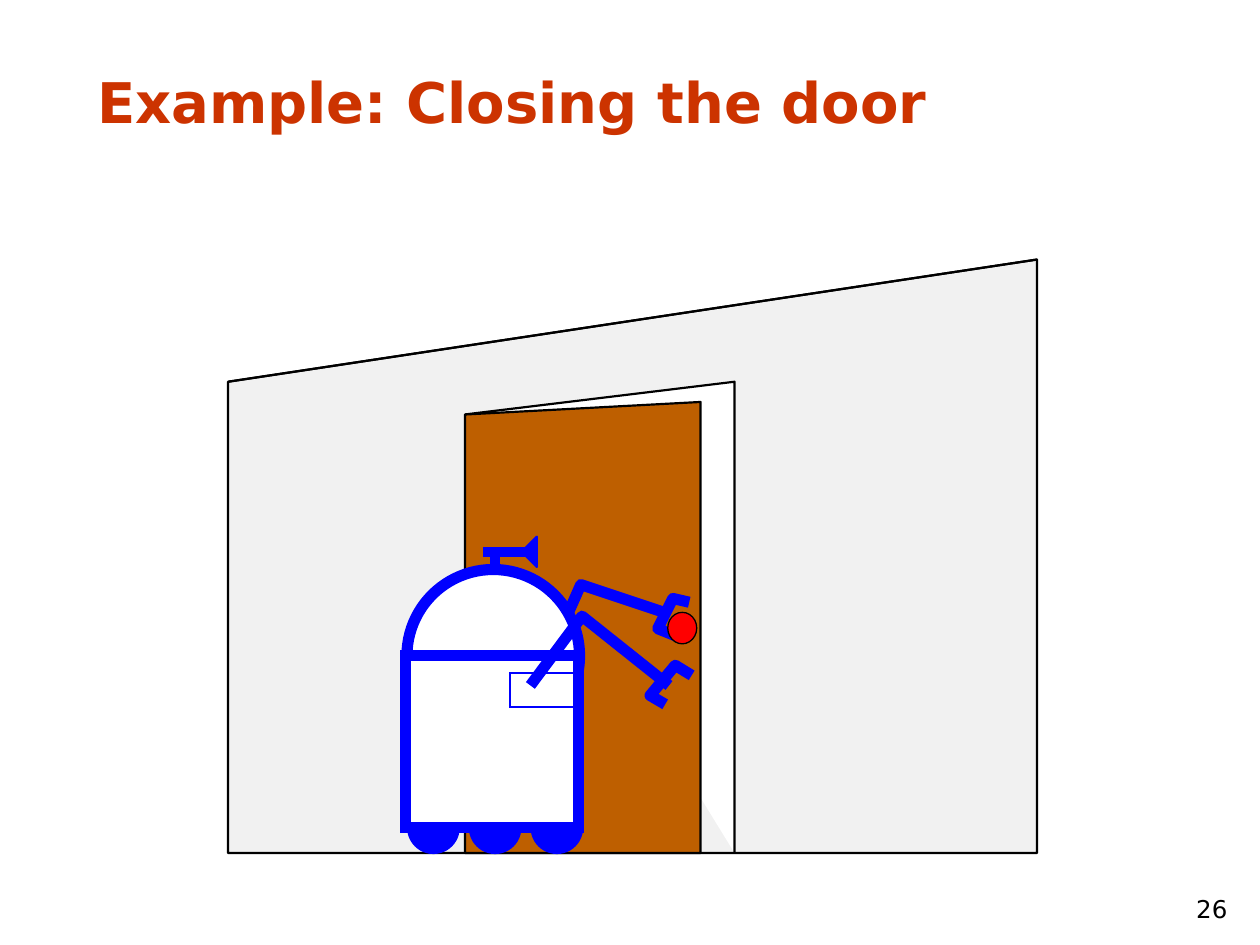
from lxml.etree import SubElement
from pptx import Presentation
from pptx.dml.color import RGBColor
from pptx.enum.shapes import MSO_CONNECTOR, MSO_SHAPE
from pptx.enum.text import MSO_ANCHOR, MSO_AUTO_SIZE, PP_ALIGN
from pptx.oxml.ns import qn
from pptx.util import Inches, Pt

TITLE_RED = RGBColor(0xCC, 0x33, 0x00)
WALL_GREY = RGBColor(0xF1, 0xF1, 0xF1)
DOOR_BROWN = RGBColor(0xBE, 0x5F, 0x00)
ROBOT_BLUE = RGBColor(0x00, 0x00, 0xFF)
KNOB_RED = RGBColor(0xFF, 0x00, 0x00)
WHITE = RGBColor(0xFF, 0xFF, 0xFF)
BLACK = RGBColor(0x00, 0x00, 0x00)

THIN = 1.25
THICK = 6.38


class SlideBuilder:
    font = "DejaVu Sans"

    def __init__(self, prs):
        self.slide = prs.slides.add_slide(prs.slide_layouts[5])
        self.scene = self.slide.shapes.add_group_shape().shapes

    def add_text(self, sp, text, size, color, align, bold=False):
        tf = sp.text_frame
        tf.word_wrap = True
        tf.vertical_anchor = MSO_ANCHOR.BOTTOM
        p = tf.paragraphs[0]
        p.alignment = align
        r = p.add_run()
        r.text = text
        r.font.name = self.font
        r.font.size = Pt(size)
        r.font.bold = bold
        r.font.color.rgb = color

    def title(self, text, x, y, w, h):
        sp = self.slide.shapes.title
        sp.left, sp.top, sp.width, sp.height = map(Inches, (x, y, w, h))
        self.add_text(sp, text, 32, TITLE_RED, PP_ALIGN.LEFT, True)
        sp.text_frame.auto_size = MSO_AUTO_SIZE.SHAPE_TO_FIT_TEXT

    def page_number(self, text, x, y, w, h):
        sp = self.slide.shapes.add_textbox(*map(Inches, (x, y, w, h)))
        self.add_text(sp, text, 14, BLACK, PP_ALIGN.RIGHT)

    def paint(self, sp, fill, line, width):
        sp.shadow.inherit = False
        if fill is None:
            sp.fill.background()
        else:
            sp.fill.solid()
            sp.fill.fore_color.rgb = fill
        sp.line.color.rgb = line
        sp.line.width = Pt(width)

    def shape(self, kind, x, y, w, h, fill, line, width=THIN):
        sp = self.scene.add_shape(kind, *map(Inches, (x, y, w, h)))
        self.paint(sp, fill, line, width)
        return sp

    def rect(self, *args):
        sp = self.shape(MSO_SHAPE.RECTANGLE, *args)
        ln = sp._element.spPr.find(qn("a:ln"))
        SubElement(ln, qn("a:miter")).set("lim", "800000")

    def oval(self, *args):
        self.shape(MSO_SHAPE.OVAL, *args)

    def outline(self, points, fill, line, width=THIN, close=False):
        start, *rest = [(Inches(x), Inches(y)) for x, y in points]
        builder = self.scene.build_freeform(*start)
        builder.add_line_segments(rest, close=close)
        self.paint(builder.convert_to_shape(), fill, line, width)

    def line(self, start, end, color):
        cxn = self.scene.add_connector(
            MSO_CONNECTOR.STRAIGHT, *map(Inches, (*start, *end)))
        cxn.line.color.rgb = color
        cxn.line.width = Pt(THIN)
        SubElement(cxn._element.spPr, qn("a:effectLst"))

    def arm(self, *points):
        self.outline(points, None, ROBOT_BLUE, THICK)


def draw_room(s):
    floor = 6.77
    wall = [(1.81, floor), (1.81, 3.03), (8.23, 2.06), (8.23, floor)]
    hinge = (3.69, 3.29)
    s.outline(wall, WALL_GREY, BLACK, close=True)
    s.outline([hinge, (5.83, 3.03), (5.83, floor)], WHITE, BLACK)
    s.outline([(3.69, floor), hinge, (5.56, 3.19), (5.56, floor)],
              DOOR_BROWN, BLACK, close=True)
    s.line(wall[0], wall[3], BLACK)
    s.line(wall[1], wall[2], BLACK)


def draw_robot(s):
    s.rect(3.9, 4.41, 0.06, 0.12, ROBOT_BLUE, ROBOT_BLUE)
    s.rect(3.84, 4.35, 0.36, 0.06, ROBOT_BLUE, ROBOT_BLUE)
    s.outline([(4.14, 4.38), (4.26, 4.26), (4.26, 4.5)],
              ROBOT_BLUE, ROBOT_BLUE, close=True)
    s.arm((4.27, 5.41), (4.61, 4.64), (5.3, 4.87))
    s.oval(3.23, 4.52, 1.37, 1.37, WHITE, ROBOT_BLUE, THICK)
    for i in range(3):
        s.oval(3.24 + 0.49 * i, 6.37, 0.4, 0.4, ROBOT_BLUE, ROBOT_BLUE)
    s.rect(3.22, 5.2, 1.37, 1.37, WHITE, ROBOT_BLUE, THICK)
    s.rect(4.05, 5.34, 0.54, 0.27, None, ROBOT_BLUE)
    s.arm((4.21, 5.44), (4.62, 4.89), (5.31, 5.44))
    s.arm((5.28, 5.59), (5.16, 5.52), (5.36, 5.28), (5.49, 5.36))
    s.arm((5.37, 5.05), (5.22, 4.99), (5.34, 4.75), (5.47, 4.78))


def main():
    prs = Presentation()
    prs.slide_width, prs.slide_height = Inches(10), Inches(7.5)
    s = SlideBuilder(prs)
    s.title("Example: Closing the door", 0.67, 0.48, 9.21, 0.64)
    draw_room(s)
    draw_robot(s)
    s.oval(5.3, 4.86, 0.23, 0.25, KNOB_RED, BLACK, 0.75)
    s.page_number("26", 9.17, 6.88, 0.67, 0.5)
    prs.save("out.pptx")


if __name__ == "__main__":
    main()
